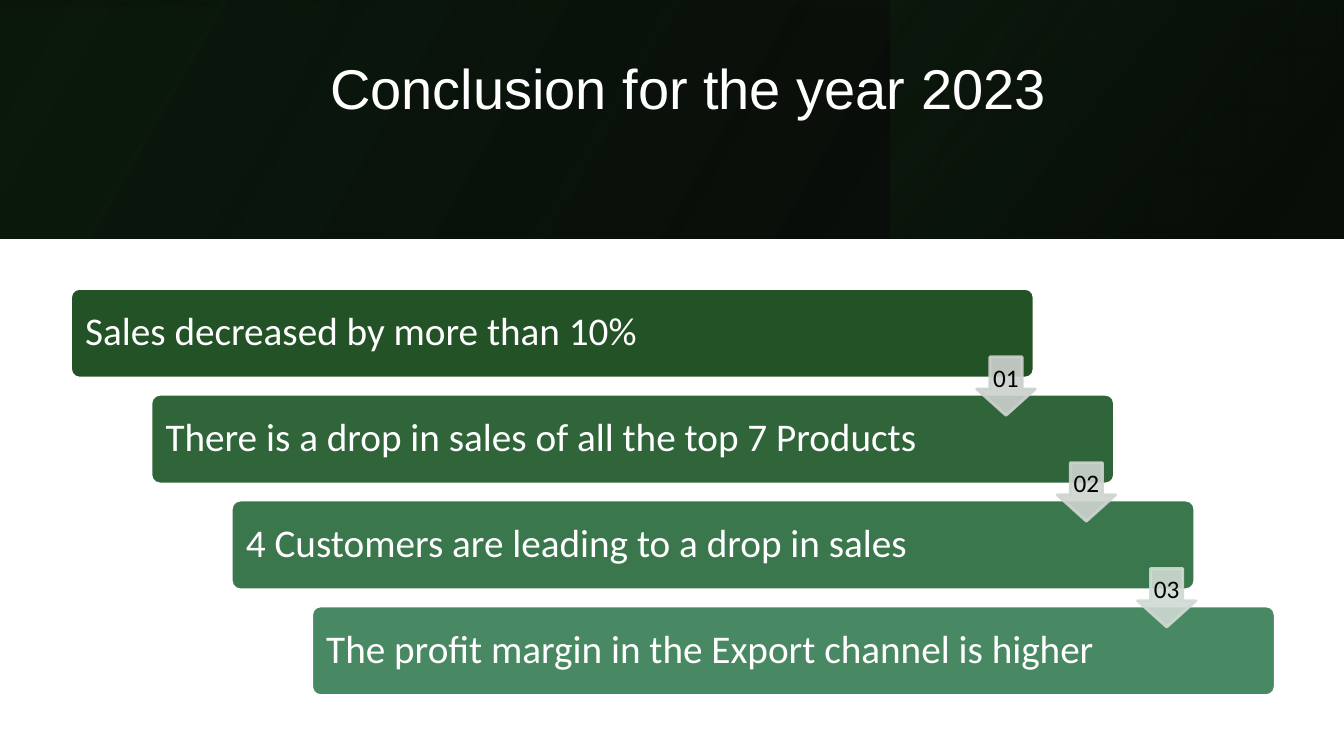
from lxml import etree
from pptx import Presentation
from pptx.dml import color
from pptx.enum import shapes, text
from pptx.oxml import ns
from pptx.util import Pt

SLIDE = (960, 540)
TITLE = "Conclusion for the year 2023"
BANNER_HEIGHT = 170.64
BANNER = [
    {"box": (0, 0, 960, BANNER_HEIGHT), "turn": 0, "angle": 330,
     "stops": [(0, "000000", 96), (100, "0B190C", 100)]},
    {"box": (636.5, 0, 323.5, BANNER_HEIGHT), "turn": 0, "angle": 320,
     "stops": [(19, "071108", 68), (100, "0F2210", 48)]},
    {"box": (394.68, -394.68, BANNER_HEIGHT, 960), "turn": 270, "angle": 350,
     "stops": [(23, "0B190C", 16), (99, "000000", 45)]},
]
FINDINGS = [
    ("Sales decreased by more than 10%", "245227"),
    ("There is a drop in sales of all the top 7 Products", "2F6539"),
    ("4 Customers are leading to a drop in sales", "3B774D"),
    ("The profit margin in the Export channel is higher", "488862"),
]
ARROWS = [("01", "CDD1CD"), ("02", "CED5CF"), ("03", "D0DAD3")]
FIRST_BAR = (50.4, 206, 688.3, 64.1)
FIRST_ARROW = (697.7, 254.9, 41.8, 41.8)
STEP = (57.4, 75.6)


def paint(target, shade, opacity=100):
    target.rgb = color.RGBColor.from_string(shade)
    if opacity < 100:
        tint = target._xFill.find(ns.qn("a:srgbClr")) if hasattr(target, "_xFill") else None
        if tint is None:
            tint = target._color._xClr
        etree.SubElement(tint, ns.qn("a:alpha"), val=str(opacity * 1000))


def write(shape, words, size=28, font="Calibri", shade="FFFFFF",
          align=text.PP_ALIGN.LEFT, spacing=0.9, insets=(8.6, 8.6, 8.6, 8.6)):
    frame = shape.text_frame
    frame.word_wrap = True
    frame.vertical_anchor = text.MSO_ANCHOR.MIDDLE
    (frame.margin_left, frame.margin_top,
     frame.margin_right, frame.margin_bottom) = map(Pt, insets)
    paragraph = frame.paragraphs[0]
    paragraph.alignment = align
    paragraph.line_spacing = spacing
    run = paragraph.add_run()
    run.text = words
    run.font.size = Pt(size)
    run.font.name = font
    paint(run.font.color, shade)


def add_shape(preset, box):
    shape = slide.shapes.add_shape(preset, *map(Pt, box))
    shape.shadow.inherit = False
    return shape


def add_step(preset, first, index, adjustments, shade, edge, opacity=100):
    left, top, width, height = first
    shape = add_shape(preset, (left + index * STEP[0], top + index * STEP[1], width, height))
    for position, value in enumerate(adjustments):
        shape.adjustments[position] = value
    shape.fill.solid()
    paint(shape.fill.fore_color, shade, opacity)
    shape.line.width = Pt(2)
    paint(shape.line.color, edge, opacity)
    return shape


deck = Presentation()
deck.slide_width, deck.slide_height = map(Pt, SLIDE)
slide = deck.slides.add_slide(deck.slide_layouts[6])

for layer in BANNER:
    panel = add_shape(shapes.MSO_SHAPE.RECTANGLE, layer["box"])
    panel.rotation = layer["turn"]
    panel._element.spPr.xfrm.set("flipH", "1")
    panel.line.fill.background()
    panel.fill.gradient()
    panel.fill.gradient_angle = 360 - layer["angle"]
    for stop, (position, shade, opacity) in zip(panel.fill.gradient_stops, layer["stops"]):
        stop.position = position / 100
        paint(stop.color, shade, opacity)

heading = slide.shapes.add_textbox(*map(Pt, (108.7, 27.4, 765.4, 123.8)))
write(heading, TITLE, size=40, font="Arial", align=text.PP_ALIGN.CENTER,
      spacing=0.85, insets=(9.4, 5, 9.4, 51))

for index, (finding, shade) in enumerate(FINDINGS):
    bar = add_step(shapes.MSO_SHAPE.ROUNDED_RECTANGLE, FIRST_BAR, index,
                   [0.1], shade, "FFFFFF")
    write(bar, finding)

for index, (number, shade) in enumerate(ARROWS):
    arrow = add_step(shapes.MSO_SHAPE.DOWN_ARROW, FIRST_ARROW, index,
                     [0.55, 0.45], shade, shade, 90)
    write(arrow, number, size=18, shade="000000",
          align=text.PP_ALIGN.CENTER, insets=(2, 2, 2, 2))

deck.save("out.pptx")
